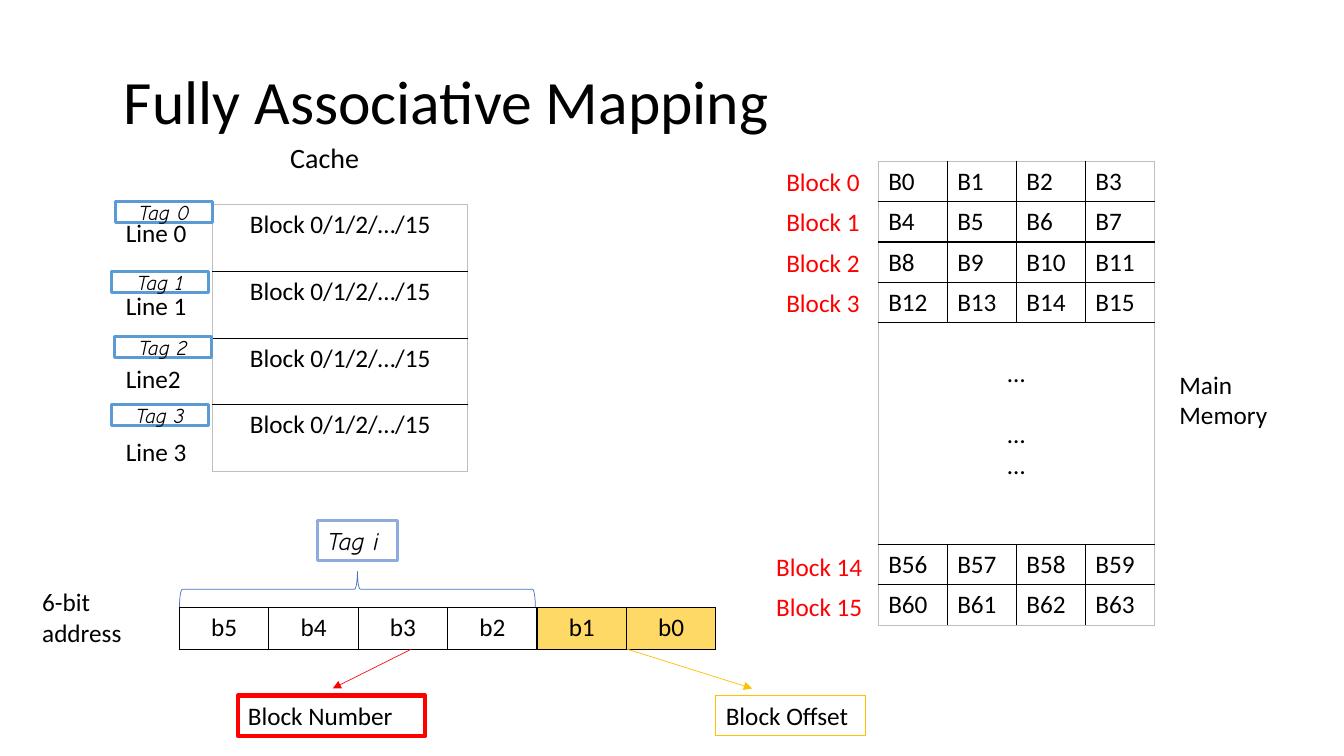
from lxml.etree import SubElement
from pptx import Presentation
from pptx.dml.color import RGBColor
from pptx.enum.shapes import MSO_CONNECTOR, MSO_SHAPE
from pptx.enum.text import MSO_ANCHOR as ANCHOR, PP_ALIGN as ALIGN
from pptx.oxml.ns import qn
from pptx.util import Inches, Pt

BLACK = RGBColor(0x00, 0x00, 0x00)
WHITE = RGBColor(0xFF, 0xFF, 0xFF)
RED = RGBColor(0xFF, 0x00, 0x00)
GOLD = RGBColor(0xFF, 0xC0, 0x00)
YELLOW = RGBColor(0xFF, 0xD9, 0x66)
TAG_BLUE = RGBColor(0x5B, 0x9B, 0xD5)
BRACE_BLUE = RGBColor(0x44, 0x72, 0xC4)
PALE_BLUE = RGBColor(0x8F, 0xAA, 0xDC)
GRAY = RGBColor(0xBF, 0xBF, 0xBF)

BODY_FONT = "Calibri"
TAG_FONT = "Comic Neue"


def box(at):
    return [Inches(v) for v in at]


def format_text(tf, size=18, color=BLACK, align=ALIGN.LEFT, font=BODY_FONT, italic=False):
    for p in tf.paragraphs:
        p.alignment = align
        for r in p.runs:
            r.font.name = font
            r.font.size = Pt(size)
            r.font.italic = italic
            r.font.color.rgb = color


def add_label(slide, at, text, anchor=ANCHOR.TOP, **style):
    tf = slide.shapes.add_textbox(*box(at)).text_frame
    tf.word_wrap = True
    tf.vertical_anchor = anchor
    tf.text = text
    format_text(tf, **style)
    return tf


def add_outline(slide, kind, at, color, width, fill=None):
    sp = slide.shapes.add_shape(kind, *box(at))
    sp.shadow.inherit = False
    sp.line.color.rgb = color
    sp.line.width = Pt(width)
    if fill is None:
        sp.fill.background()
    else:
        sp.fill.solid()
        sp.fill.fore_color.rgb = fill
    return sp


def add_box(slide, at, text, color, width, fill=None, anchor=ANCHOR.TOP, **style):
    sp = add_outline(slide, MSO_SHAPE.RECTANGLE, at, color, width, fill)
    tf = sp.text_frame
    tf.word_wrap = True
    tf.vertical_anchor = anchor
    tf.text = text
    format_text(tf, **style)


def add_arrow(slide, start, end, color):
    line = slide.shapes.add_connector(MSO_CONNECTOR.STRAIGHT, *box(start + end))
    line.line.color.rgb = color
    line.line.width = Pt(0.5)
    ln = line.line._get_or_add_ln()
    SubElement(ln, qn("a:tailEnd"), type="triangle")
    SubElement(line._element.spPr, qn("a:effectLst"))


def set_borders(cell, colors):
    """Draw the left, right, top and bottom edges in the given colours."""
    tc_pr = cell._tc.get_or_add_tcPr()
    for side, color in zip("LRTB", colors):
        ln = SubElement(tc_pr, qn(f"a:ln{side}"), w=str(Pt(1)))
        fill = SubElement(ln, qn("a:solidFill"))
        SubElement(fill, qn("a:srgbClr"), val=str(color))


def add_grid(slide, at, rows, heights, align=ALIGN.LEFT, edge=BLACK, merged=()):
    """Add a table with black inner lines; rows in merged span all columns."""
    n_rows, n_cols = len(rows), len(rows[0])
    table = slide.shapes.add_table(n_rows, n_cols, *box(at)).table
    table.first_row = table.horz_banding = False
    for col in table.columns:
        col.width = Inches(at[2] / n_cols)
    for row, height in zip(table.rows, heights):
        row.height = Inches(height)
    for i in merged:
        table.cell(i, 0).merge(table.cell(i, n_cols - 1))
    for i, texts in enumerate(rows):
        for j, text in enumerate(texts):
            cell = table.cell(i, j)
            outer = (j == 0, j + cell.span_width == n_cols, i == 0, i == n_rows - 1)
            set_borders(cell, [edge if o else BLACK for o in outer])
            cell.fill.background()
            cell.text = text
            format_text(cell.text_frame, align=align)
    return table


def add_cache(slide):
    add_label(slide, (2.78, 1.34, 1.08, 0.44), "Cache", size=20)
    for i, name in enumerate(["Line 0", "Line 1", "Line2", "Line 3"]):
        add_label(slide, (1.15, 2.11 + 0.724 * i, 0.96, 0.4), name)
    add_grid(slide, (2.11, 2.03, 2.53, 2.65), [["Block 0/1/2/…/15"]] * 4,
             [0.6625] * 4, align=ALIGN.CENTER, edge=GRAY)
    for i, (x, y) in enumerate([(1.15, 2), (1.11, 2.69), (1.14, 3.34), (1.11, 4.01)]):
        add_box(slide, (x, y, 0.96, 0.21), f"Tag {i}", TAG_BLUE, 2.25, fill=WHITE,
                anchor=ANCHOR.MIDDLE, size=15, align=ALIGN.CENTER,
                font=TAG_FONT, italic=True)


def add_main_memory(slide):
    blocks = [0, 1, 2, 3, 14, 15]
    rows = [[f"B{4 * b + k}" for k in range(4)] for b in blocks]
    gap = 4
    rows.insert(gap, ["…\n…\n…", "", "", ""])
    heights = [0.4] * len(rows)
    heights[gap] = 2.2
    table = add_grid(slide, (8.71, 1.6, 2.74, 4.6), rows, heights,
                     edge=GRAY, merged=[gap])
    cell = table.cell(gap, 0)
    cell.margin_top = Inches(0.35)
    format_text(cell.text_frame, align=ALIGN.CENTER)
    cell.text_frame.paragraphs[1].space_before = Pt(22)

    for i, b in enumerate(blocks):
        x, y = (7.7, 1.6 + 0.4 * i) if i < gap else (7.6, 5.42 + 0.4 * (i - gap))
        add_label(slide, (x, y, 1.08, 0.4), f"Block {b}", color=RED)
    add_label(slide, (11.6, 3.61, 1.16, 0.71), "Main Memory")


def add_address(slide):
    add_label(slide, (0.32, 5.77, 1.39, 0.71), "6-bit address")
    bits = [f"b{k}" for k in range(5, -1, -1)]
    table = add_grid(slide, (1.78, 6.03, 5.32, 0.41), [bits], [0.41], align=ALIGN.CENTER)
    for j in (4, 5):
        fill = table.cell(0, j).fill
        fill.solid()
        fill.fore_color.rgb = YELLOW

    brace = add_outline(slide, MSO_SHAPE.LEFT_BRACE, (3.37, 4.08, 0.35, 3.53),
                        BRACE_BLUE, 0.5)
    brace.rotation = 90
    add_box(slide, (3.15, 5.16, 0.79, 0.4), "Tag i", PALE_BLUE, 2.25,
            font=TAG_FONT, italic=True)
    add_arrow(slide, (4.08, 6.44), (3.3, 6.83), RED)
    add_box(slide, (2.36, 6.9, 1.86, 0.4), "Block Number", RED, 3)
    add_arrow(slide, (6.22, 6.44), (7.46, 6.83), GOLD)
    add_box(slide, (7.1, 6.9, 1.48, 0.4), "Block Offset", GOLD, 0.75)


def main():
    prs = Presentation()
    prs.slide_width = Inches(13.33)
    prs.slide_height = Inches(7.5)
    slide = prs.slides.add_slide(prs.slide_layouts[6])
    title = add_label(slide, (1.13, 0.31, 6.79, 1.45), "Fully Associative Mapping",
                      anchor=ANCHOR.MIDDLE, size=44)
    title.paragraphs[0].line_spacing = 0.9
    add_cache(slide)
    add_main_memory(slide)
    add_address(slide)
    prs.save("out.pptx")


if __name__ == "__main__":
    main()
